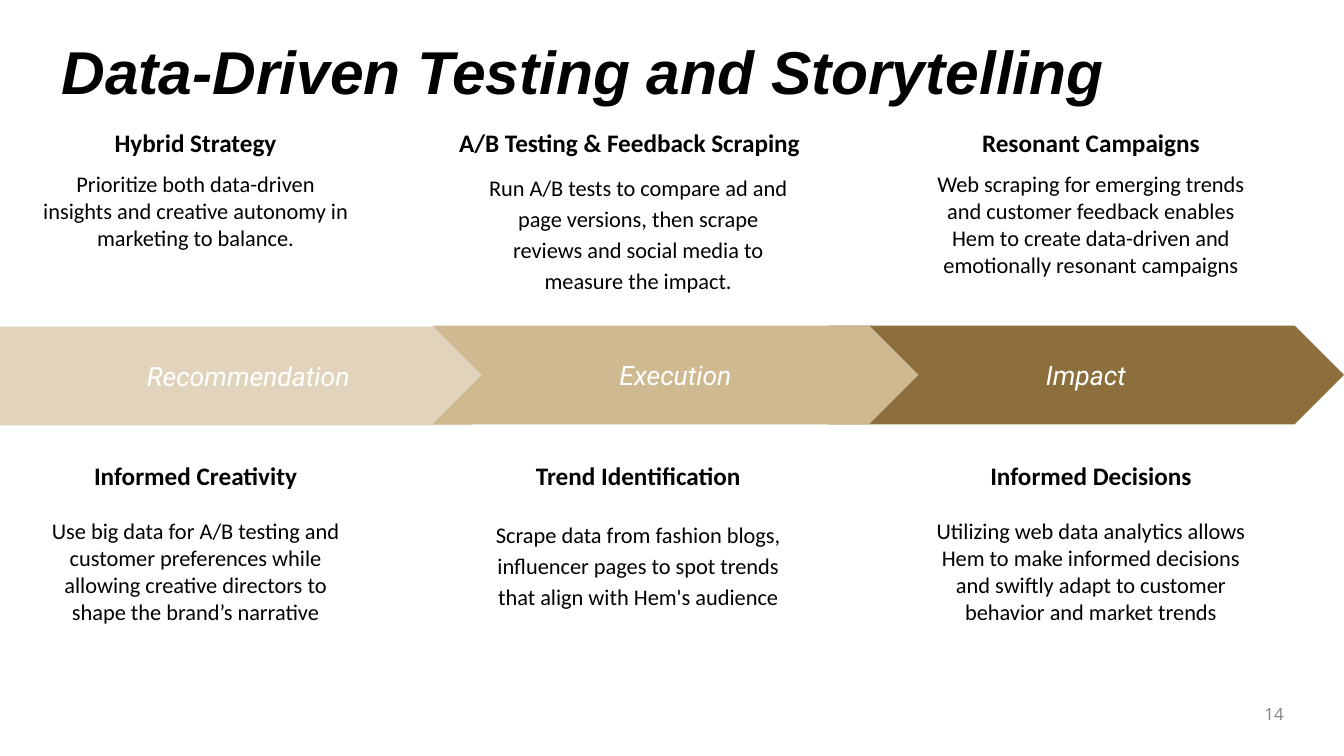
from dataclasses import dataclass

from pptx import Presentation
from pptx.dml.color import RGBColor
from pptx.enum.shapes import MSO_SHAPE as Preset
from pptx.enum.text import MSO_ANCHOR as Anchor, PP_ALIGN as Align
from pptx.util import Inches, Pt


@dataclass(frozen=True)
class Theme:
    background: str = "FEFFFF"
    ink: str = "000000"
    muted: str = "888888"
    on_arrow: str = "FFFFFF"
    sand: str = "E2D4BC"
    gold: str = "CFB991"
    bronze: str = "8D6F3D"
    title_size: float = 43.2
    arrow_size: float = 19
    heading_size: float = 18
    body_size: float = 16
    number_size: float = 12
    title_font: str = "Arial"
    arrow_font: str = "Roboto"
    body_font: str = "Calibri"
    number_font: str = "Noto Sans"


def write_text(shape, text, *, font, size, color, bold=False, italic=False,
               align=Align.CENTER, anchor=Anchor.TOP, inset=(0.1, 0.1),
               line_spacing=None, gap=None):
    frame = shape.text_frame
    frame.word_wrap = True
    frame.vertical_anchor = anchor
    frame.margin_left = frame.margin_right = Inches(inset[0])
    frame.margin_top = frame.margin_bottom = Inches(inset[1])
    paragraph = frame.paragraphs[0]
    paragraph.alignment = align
    if line_spacing:
        paragraph.line_spacing = line_spacing
    if gap:
        paragraph.space_before = paragraph.space_after = Pt(gap)
    run = paragraph.add_run()
    run.text = text
    run.font.name = font
    run.font.size = Pt(size)
    run.font.color.rgb = RGBColor.from_string(color)
    run.font.bold = bold
    run.font.italic = italic


class SlideBuilder:
    def __init__(self, slide, theme):
        self.slide = slide
        self.theme = theme
        fill = slide.background.fill
        fill.solid()
        fill.fore_color.rgb = RGBColor.from_string(theme.background)

    def text_box(self, box, text, **style):
        shape = self.slide.shapes.add_textbox(*map(Inches, box))
        write_text(shape, text, **style)

    def title(self, box, text):
        theme = self.theme
        self.text_box(box, text, font=theme.title_font, size=theme.title_size,
                      color=theme.ink, bold=True, italic=True, align=Align.LEFT,
                      anchor=Anchor.MIDDLE, inset=(0.1, 0.05), line_spacing=0.9)

    def page_number(self, box, text):
        theme = self.theme
        self.text_box(box, text, font=theme.number_font, size=theme.number_size,
                      color=theme.muted, align=Align.RIGHT,
                      anchor=Anchor.MIDDLE, inset=(0.1, 0.05))

    def arrow(self, preset, box, color, text):
        theme = self.theme
        shape = self.slide.shapes.add_shape(preset, *map(Inches, box))
        shape.shadow.inherit = False
        shape.adjustments[0] = 0.5
        shape.fill.solid()
        shape.fill.fore_color.rgb = RGBColor.from_string(color)
        shape.line.fill.background()
        write_text(shape, text, font=theme.arrow_font, size=theme.arrow_size,
                   color=theme.on_arrow, italic=True, anchor=Anchor.MIDDLE,
                   inset=(0.13, 0.13))

    def heading(self, box, text):
        theme = self.theme
        self.text_box(box, text, font=theme.body_font, size=theme.heading_size,
                      color=theme.ink, bold=True)

    def body(self, box, text, **spacing):
        theme = self.theme
        self.text_box(box, text, font=theme.body_font, size=theme.body_size,
                      color=theme.ink, **spacing)


COLUMN_WIDTH = 3.28
LOOSE = {"line_spacing": 1.15, "gap": 12}
COLUMNS = [(0.3, {}), (4.69, LOOSE), (9.18, {})]
ROWS = [
    (1.16, 1.59, [
        ("Hybrid Strategy",
         "Prioritize both data-driven insights and creative autonomy in "
         "marketing to balance."),
        ("A/B Testing & Feedback Scraping",
         "Run A/B tests to compare ad and page versions, then scrape reviews "
         "and social media to measure the impact."),
        ("Resonant Campaigns",
         "Web scraping for emerging trends and customer feedback enables Hem "
         "to create data-driven and emotionally resonant campaigns"),
    ]),
    (4.47, 5.03, [
        ("Informed Creativity",
         "Use big data for A/B testing and customer preferences while allowing "
         "creative directors to shape the brand’s narrative"),
        ("Trend Identification",
         "Scrape data from fashion blogs, influencer pages to spot trends that "
         "align with Hem's audience"),
        ("Informed Decisions",
         "Utilizing web data analytics allows Hem to make informed decisions "
         "and swiftly adapt to customer behavior and market trends"),
    ]),
]
WIDE_HEADINGS = {"A/B Testing & Feedback Scraping": (4.36, 3.77)}


def main():
    presentation = Presentation()
    presentation.slide_width = Inches(13.33)
    presentation.slide_height = Inches(7.5)
    theme = Theme()
    slide = presentation.slides.add_slide(presentation.slide_layouts[6])
    builder = SlideBuilder(slide, theme)

    builder.title((0.51, 0.42, 12.32, 0.64), "Data-Driven Testing and Storytelling")
    builder.page_number((11.63, 6.88, 1.2, 0.4), "14")

    for preset, left, top, width, color, label in [
        (Preset.CHEVRON, 8.21, 3.23, 5.12, theme.bronze, "Impact"),
        (Preset.PENTAGON, 0, 3.24, 5.17, theme.sand, "Recommendation"),
        (Preset.CHEVRON, 4.29, 3.23, 4.82, theme.gold, "Execution"),
    ]:
        builder.arrow(preset, (left, top, width, 0.98), color, label)

    for heading_top, body_top, cells in ROWS:
        for (left, spacing), (heading, body) in zip(COLUMNS, cells):
            heading_left, heading_width = WIDE_HEADINGS.get(
                heading, (left, COLUMN_WIDTH))
            builder.body((left, body_top, COLUMN_WIDTH, 1.28), body, **spacing)
            builder.heading((heading_left, heading_top, heading_width, 0.5), heading)

    presentation.save("out.pptx")


if __name__ == "__main__":
    main()
